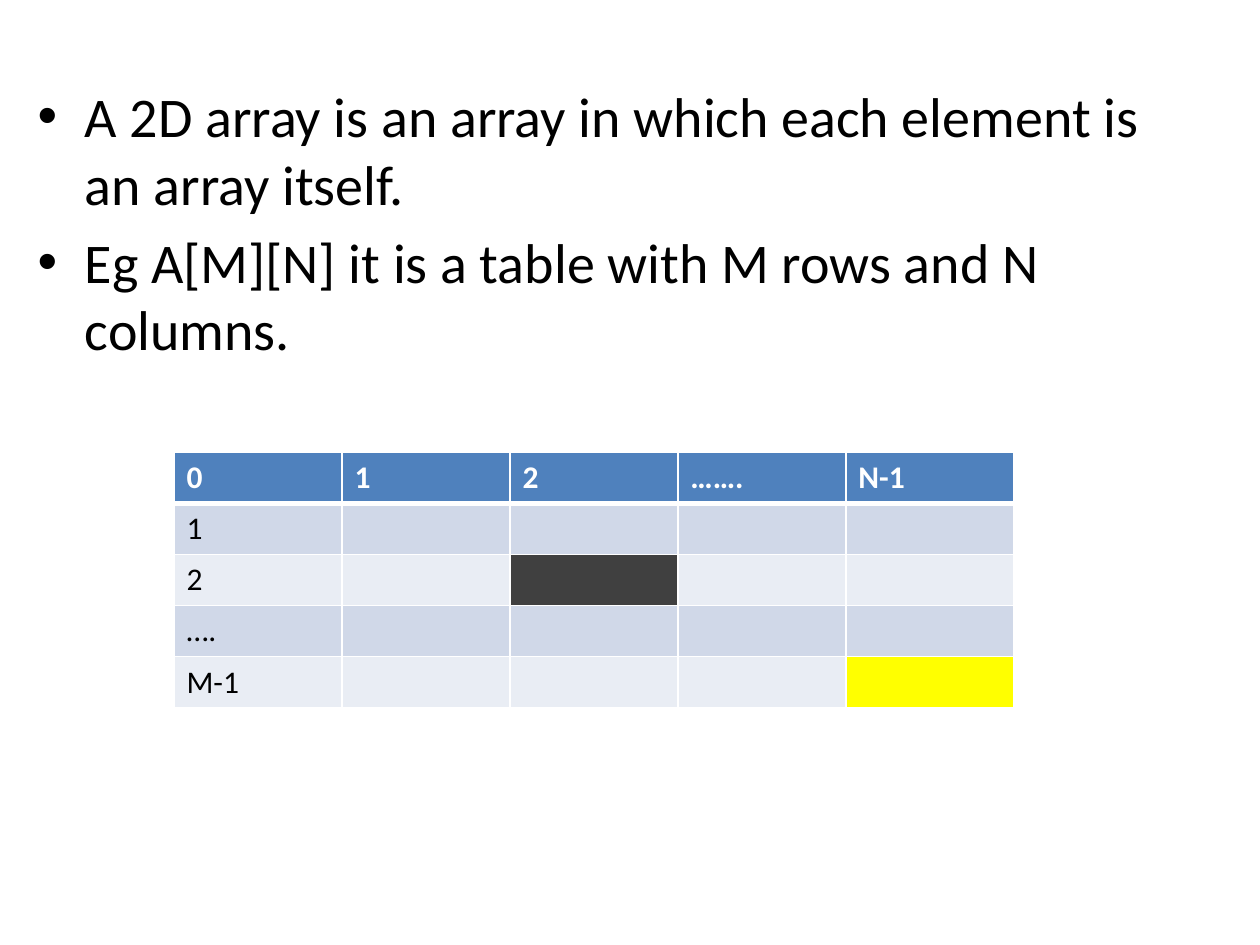
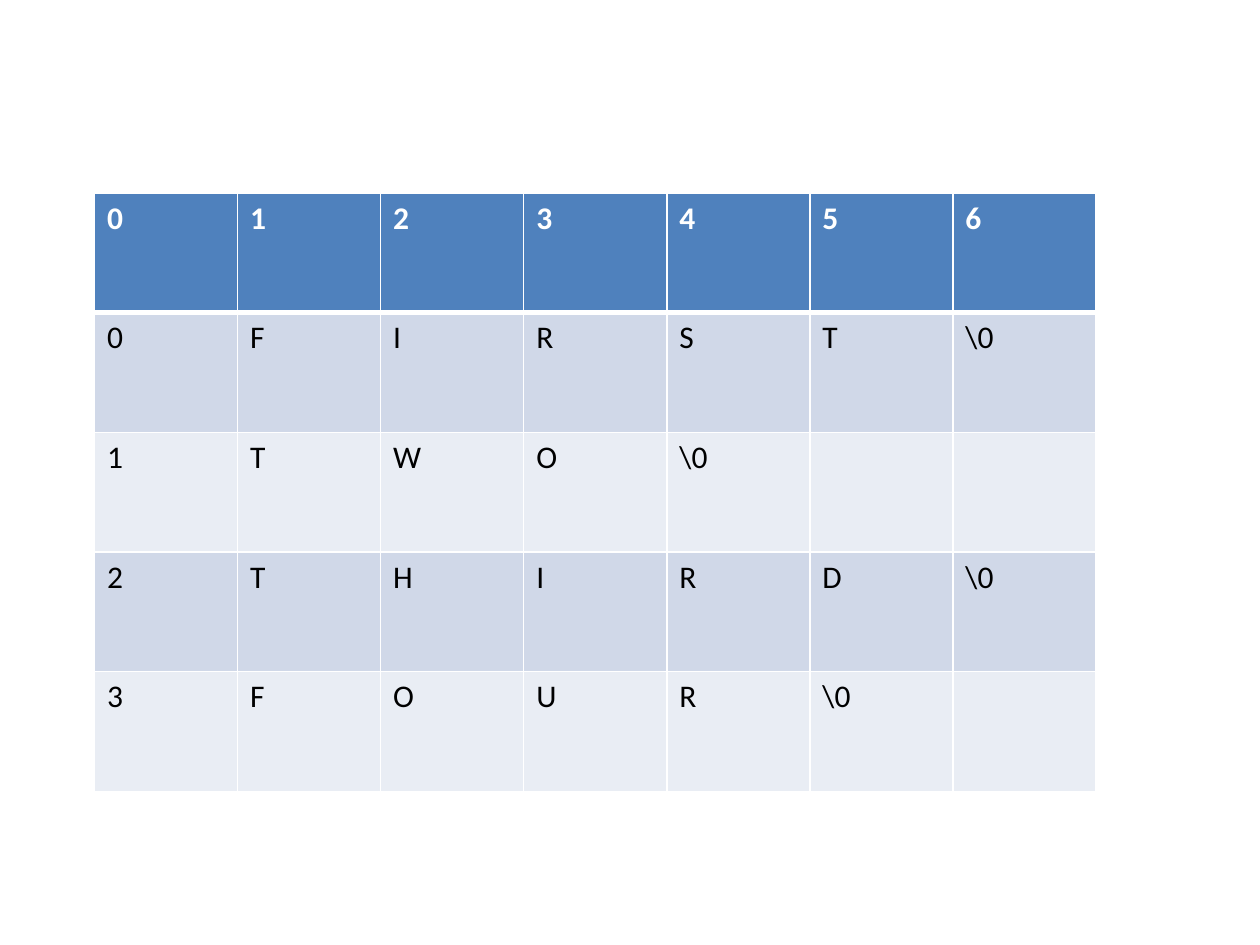
from dataclasses import dataclass, field

from lxml.etree import SubElement
from pptx import Presentation
from pptx.dml.color import RGBColor
from pptx.oxml.ns import qn
from pptx.slide import Slide
from pptx.table import _Cell
from pptx.text.text import TextFrame
from pptx.util import Pt

FONT = "Calibri"
COLORS = {
    "text": "000000",
    "white": "FFFFFF",
    "header": "4F81BD",
    "odd_row": "D0D8E8",
    "even_row": "E9EDF4",
    "dark_cell": "404040",
    "yellow_cell": "FFFF00",
}
BULLET_INDENT = 27
THIN_BORDER = 1
HEADER_BORDER = 3


@dataclass
class Grid:
    left: float
    top: float
    column_width: float
    row_height: float
    rows: list[list[str]]
    highlights: dict[tuple[int, int], str] = field(default_factory=dict)


DEFINITIONS = [
    "A 2D array is an array in which each element is an array itself.",
    "Eg A[M][N] it is a table with M rows and N columns.",
]

INDEX_GRID = Grid(
    left=99.4, top=258.5, column_width=96, row_height=29.2,
    rows=[["0", "1", "2", "…….", "N-1"], ["1"], ["2"], ["…."], ["M-1"]],
    highlights={(2, 2): "dark_cell", (4, 4): "yellow_cell"},
)

WORDS = ["FIRST", "TWO", "THIRD", "FOUR"]
WORD_GRID = Grid(
    left=54, top=110.2, column_width=81.77, row_height=68.4,
    rows=[[str(column) for column in range(7)]]
    + [[str(index), *word, r"\0"] for index, word in enumerate(WORDS)],
)


def write_text(frame: TextFrame, lines: list[str], *, size: float = 18,
               color: str = "text", bold: bool = False,
               bullet: str = "", space_before: float = 0) -> None:
    for index, line in enumerate(lines):
        paragraph = frame.add_paragraph() if index else frame.paragraphs[0]
        paragraph.space_before = Pt(space_before)
        paragraph.font.size = Pt(size)
        if bullet:
            properties = paragraph._p.get_or_add_pPr()
            properties.set("marL", str(Pt(BULLET_INDENT)))
            properties.set("indent", str(-Pt(BULLET_INDENT)))
            SubElement(properties, qn("a:buFont")).set("typeface", "Arial")
            SubElement(properties, qn("a:buChar")).set("char", bullet)
        if line:
            run = paragraph.add_run()
            run.text = line
            run.font.name = FONT
            run.font.size = Pt(size)
            run.font.bold = bold
            run.font.color.rgb = RGBColor.from_string(COLORS[color])


def set_borders(cell: _Cell, top: float, bottom: float) -> None:
    """Draw white borders; must run before the cell is filled."""
    properties = cell._tc.get_or_add_tcPr()
    widths = {"lnL": THIN_BORDER, "lnR": THIN_BORDER, "lnT": top, "lnB": bottom}
    for side, width in widths.items():
        line = SubElement(properties, qn(f"a:{side}"), w=str(Pt(width)))
        fill = SubElement(line, qn("a:solidFill"))
        SubElement(fill, qn("a:srgbClr"), val=COLORS["white"])


def row_color(row: int) -> str:
    if row == 0:
        return "header"
    return "odd_row" if row % 2 else "even_row"


def add_grid(slide: Slide, grid: Grid) -> None:
    row_count, column_count = len(grid.rows), len(grid.rows[0])
    table = slide.shapes.add_table(
        row_count, column_count, Pt(grid.left), Pt(grid.top),
        Pt(grid.column_width * column_count), Pt(grid.row_height * row_count),
    ).table
    for column in table.columns:
        column.width = Pt(grid.column_width)
    for row, texts in enumerate(grid.rows):
        table.rows[row].height = Pt(grid.row_height)
        is_header = row == 0
        for column in range(column_count):
            cell = table.cell(row, column)
            set_borders(cell,
                        top=HEADER_BORDER if row == 1 else THIN_BORDER,
                        bottom=HEADER_BORDER if is_header else THIN_BORDER)
            color = grid.highlights.get((row, column), row_color(row))
            cell.fill.solid()
            cell.fill.fore_color.rgb = RGBColor.from_string(COLORS[color])
            text = texts[column] if column < len(texts) else ""
            write_text(cell.text_frame, [text], bold=is_header,
                       color="white" if is_header else "text")


def add_bullets(slide: Slide, lines: list[str]) -> None:
    box = slide.shapes.add_textbox(Pt(14.4), Pt(43.2), Pt(648), Pt(430.6))
    box.text_frame.word_wrap = True
    write_text(box.text_frame, lines, size=32, bullet="•", space_before=6.4)


def main() -> None:
    presentation = Presentation()
    presentation.slide_width, presentation.slide_height = Pt(720), Pt(540)
    blank = presentation.slide_layouts[6]

    definition_slide = presentation.slides.add_slide(blank)
    add_bullets(definition_slide, DEFINITIONS)
    add_grid(definition_slide, INDEX_GRID)

    words_slide = presentation.slides.add_slide(blank)
    add_grid(words_slide, WORD_GRID)

    presentation.save("out.pptx")


if __name__ == "__main__":
    main()
